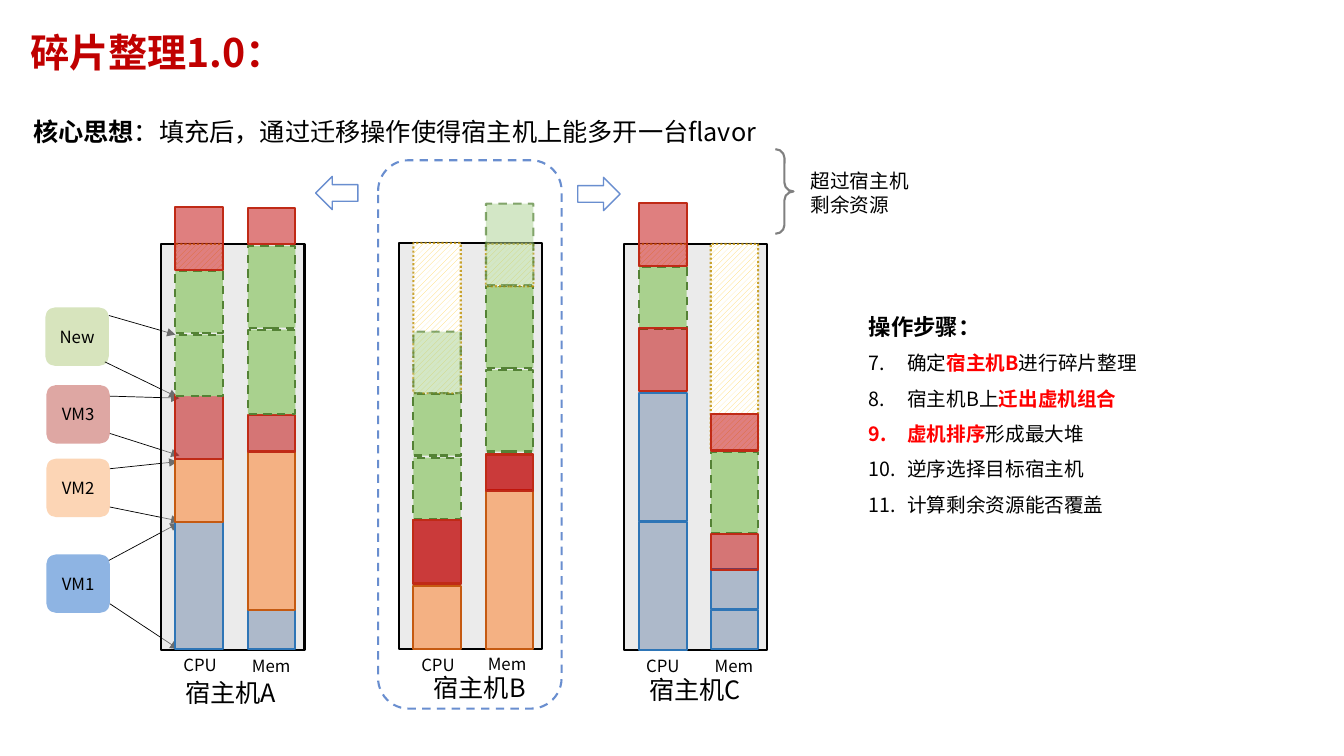
from lxml import etree
from pptx import Presentation
from pptx.dml.color import RGBColor
from pptx.enum.dml import MSO_LINE, MSO_PATTERN
from pptx.enum.shapes import MSO_CONNECTOR, MSO_SHAPE
from pptx.enum.text import MSO_ANCHOR, PP_ALIGN
from pptx.oxml.ns import qn
from pptx.util import Inches, Pt

FONT = "Noto Sans CJK SC"
BLACK, RED = "000000", "FF0000"
RECT, ROUND = MSO_SHAPE.RECTANGLE, MSO_SHAPE.ROUNDED_RECTANGLE
LEFT_ARROW, RIGHT_ARROW = MSO_SHAPE.LEFT_ARROW, MSO_SHAPE.RIGHT_ARROW
BRACE = MSO_SHAPE.RIGHT_BRACE
DASH, DOTS = MSO_LINE.DASH, MSO_LINE.ROUND_DOT
HATCH = MSO_PATTERN.WIDE_UPWARD_DIAGONAL
MIDDLE, CENTER = MSO_ANCHOR.MIDDLE, PP_ALIGN.CENTER
STRAIGHT = MSO_CONNECTOR.STRAIGHT
color = RGBColor.from_string

deck = Presentation()
deck.slide_width = Inches(13.33)
deck.slide_height = Inches(7.5)
page = deck.slides.add_slide(deck.slide_layouts[6])


def add_shape(preset, place, fill=None, fill_alpha=100, line=None, width=1.5, dash=None, line_alpha=100):
    shape = page.shapes.add_shape(preset, *[Inches(v) for v in place])
    shape.shadow.inherit = False
    if fill == "hatch":
        shape.fill.patterned()
        shape.fill.pattern = HATCH
        shape.fill.fore_color.rgb = color("FFD966")
        shape.fill.back_color.rgb = color("FFFFFF")
    elif fill:
        shape.fill.solid()
        shape.fill.fore_color.rgb = color(fill)
    else:
        shape.fill.background()
    if line:
        shape.line.color.rgb = color(line)
        shape.line.width = Pt(width)
        if dash:
            shape.line.dash_style = dash
    else:
        shape.line.fill.background()
    properties = shape._element.spPr
    for holder, alpha in ((properties, fill_alpha), (properties.find(qn("a:ln")), line_alpha)):
        if alpha < 100:
            tint = holder.find(qn("a:solidFill")).find(qn("a:srgbClr"))
            etree.SubElement(tint, qn("a:alpha"), val=str(alpha * 1000))
    return shape


def add_text(para, spans, size):
    for text, ink, bold in spans:
        span = para.add_run()
        span.text = text
        span.font.size = Pt(size)
        span.font.bold = bold
        span.font.color.rgb = color(ink)
        span.font.name = FONT
        etree.SubElement(span._r.get_or_add_rPr(), qn("a:ea"), typeface=FONT)


callouts = [
    ("New", 0.45, 3.05, "D7E4BD", [(1.08, 3.13, 1.74, 3.32), (1.04, 3.59, 1.76, 3.94)]),
    ("VM3", 0.46, 3.82, "DEA7A3", [(1.09, 3.93, 1.78, 3.95), (1.09, 4.3, 1.78, 4.52)]),
    ("VM2", 0.46, 4.55, "FCD5B5", [(1.09, 4.65, 1.76, 4.58), (1.09, 5.03, 1.78, 5.17)]),
    ("VM1", 0.46, 5.5, "8EB4E3", [(1.08, 5.56, 1.77, 5.19), (1.09, 5.99, 1.77, 6.44)]),
]
for name, left, top, fill, arrows in callouts:
    callout = add_shape(ROUND, (left, top, 0.63, 0.58), fill)
    callout.text_frame.word_wrap = True
    callout.text_frame.vertical_anchor = MIDDLE
    para = callout.text_frame.paragraphs[0]
    para.alignment = CENTER
    add_text(para, [(name, BLACK, False)], 12)
    for ends in arrows:
        arrow = page.shapes.add_connector(STRAIGHT, *[Inches(v) for v in ends])
        arrow.line.color.rgb = color(BLACK)
        arrow.line.width = Pt(0.5)
        etree.SubElement(arrow.line._get_or_add_ln(), qn("a:tailEnd"), type="triangle")
        etree.SubElement(arrow._element.spPr, qn("a:effectLst"))

styles = {
    "vm1": dict(fill="ADB9CA", line="2E75B6"),
    "vm2": dict(fill="F4B183", line="C55A11"),
    "vm3": dict(fill="C00000", fill_alpha=50, line="C02A16"),
    "new": dict(fill="A9D18E", line="548235", dash=DASH),
    "extra": dict(fill="A9D18E", fill_alpha=50, line="548235", dash=DASH, line_alpha=70),
    "free": dict(fill="hatch", line="BF9000", dash=DOTS, line_alpha=80),
}
hosts = [
    (1.6, 2.42,
     (1.74, [("vm1", 5.17, 1.27), ("vm2", 4.55, 0.63), ("vm3", 3.92, 0.63), ("new", 3.32, 0.61),
             ("new", 2.69, 0.61), ("free", 2.42, 0.26), ("vm3", 2.05, 0.63)]),
     (2.46, [("vm1", 6.05, 0.39), ("vm2", 4.48, 1.57), ("vm3", 4.12, 0.36), ("new", 3.27, 0.84),
             ("new", 2.44, 0.81), ("vm3", 2.06, 0.36)])),
    (3.96, 2.41,
     (4.1, [("vm2", 5.81, 0.63), ("vm3", 5.16, 0.63), ("new", 4.54, 0.61), ("new", 3.91, 0.61),
            ("free", 2.41, 1.49), ("extra", 3.29, 0.61), ("vm3", 5.16, 0.63)]),
     (4.82, [("vm2", 4.87, 1.57), ("vm3", 4.5, 0.36), ("new", 3.67, 0.81), ("new", 2.84, 0.81),
             ("free", 2.42, 0.42), ("extra", 2.02, 0.81), ("vm3", 4.51, 0.36)])),
    (6.19, 2.42,
     (6.34, [("vm1", 5.18, 1.27), ("vm1", 3.9, 1.27), ("free", 2.42, 0.24), ("new", 2.65, 0.61),
             ("vm3", 3.25, 0.63), ("vm3", 2.01, 0.63)]),
     (7.05, [("vm1", 6.05, 0.39), ("vm1", 5.65, 0.39), ("free", 2.42, 2.05), ("new", 4.48, 0.81),
             ("vm3", 5.3, 0.36), ("vm3", 4.11, 0.36)])),
]
for host_left, host_top, *stacks in hosts:
    add_shape(RECT, (host_left, host_top, 1.42, 4.03), "D9D9D9", 50, BLACK)
    for left, blocks in stacks:
        for kind, top, height in blocks:
            add_shape(RECT, (left, top, 0.47, height), **styles[kind])

add_shape(ROUND, (3.75, 1.59, 1.82, 5.44), line="4472C4", dash=DASH, line_alpha=80)
for preset, left, top in ((LEFT_ARROW, 3.13, 1.75), (RIGHT_ARROW, 5.73, 1.76)):
    add_shape(preset, (left, top, 0.42, 0.33), line="4472C4", width=1, line_alpha=80)
brace = add_shape(BRACE, (7.69, 1.48, 0.18, 0.84), line="808080")
brace.adjustments[0] = 0.48

steps = [
    [("确定", BLACK, False), ("宿主机B", RED, True), ("进行碎片整理", BLACK, False)],
    [("宿主机B上", BLACK, False), ("迁出虚机组合", RED, True)],
    [("虚机排序", RED, True), ("形成最大堆", BLACK, False)],
    [("逆序选择目标宿主机", BLACK, False)],
    [("计算剩余资源能否覆盖", BLACK, False)],
]
idea = [("核心思想", BLACK, True), ("：填充后，通过迁移操作使得宿主机上能多开一台flavor", BLACK, False)]
labels = [
    ((0.2, 0.31, 11.42, 0.46), 28, 0.9, [("碎片整理1.0：", "C00000", True)]),
    ((0.23, 0.95, 9.81, 0.5), 18, 1.5, idea),
    ((7.94, 1.63, 1.33, 0.57), 14, 1, [("超过宿主机 剩余资源", BLACK, False)]),
    ((1.74, 6.67, 1.18, 0.4), 18, 1, [("宿主机A", BLACK, False)]),
    ((4.2, 6.62, 1.18, 0.4), 18, 1, [("宿主机B", BLACK, False)]),
    ((6.34, 6.64, 1.18, 0.4), 18, 1, [("宿主机C", BLACK, False)]),
    ((8.52, 2.92, 4.14, 2.23), 16, 1.5, [("操作步骤：", BLACK, True)]),
]
for left, top in ((1.72, 6.45), (4.08, 6.45), (6.31, 6.46)):
    labels.insert(0, ((left, top, 0.59, 0.31), 12, 1, [("CPU", BLACK, False)]))
for left, top in ((2.4, 6.46), (4.74, 6.44), (6.99, 6.46)):
    labels.insert(0, ((left, top, 0.69, 0.31), 12, 1, [("Mem", BLACK, False)]))
for place, size, spacing, spans in labels:
    box = page.shapes.add_textbox(*[Inches(v) for v in place])
    box.text_frame.word_wrap = True
    if size == 28:
        box.text_frame.vertical_anchor = MIDDLE
    para = box.text_frame.paragraphs[0]
    para.line_spacing = spacing
    add_text(para, spans, size)

for step in steps:
    para = box.text_frame.add_paragraph()
    para.line_spacing = 1.5
    numbering = para._p.get_or_add_pPr()
    numbering.set("marL", str(Inches(0.38)))
    numbering.set("indent", str(-Inches(0.38)))
    etree.SubElement(numbering, qn("a:buFont"), typeface="+mj-lt")
    etree.SubElement(numbering, qn("a:buAutoNum"), type="arabicPeriod", startAt="7")
    add_text(para, step, 14)

deck.save("out.pptx")
